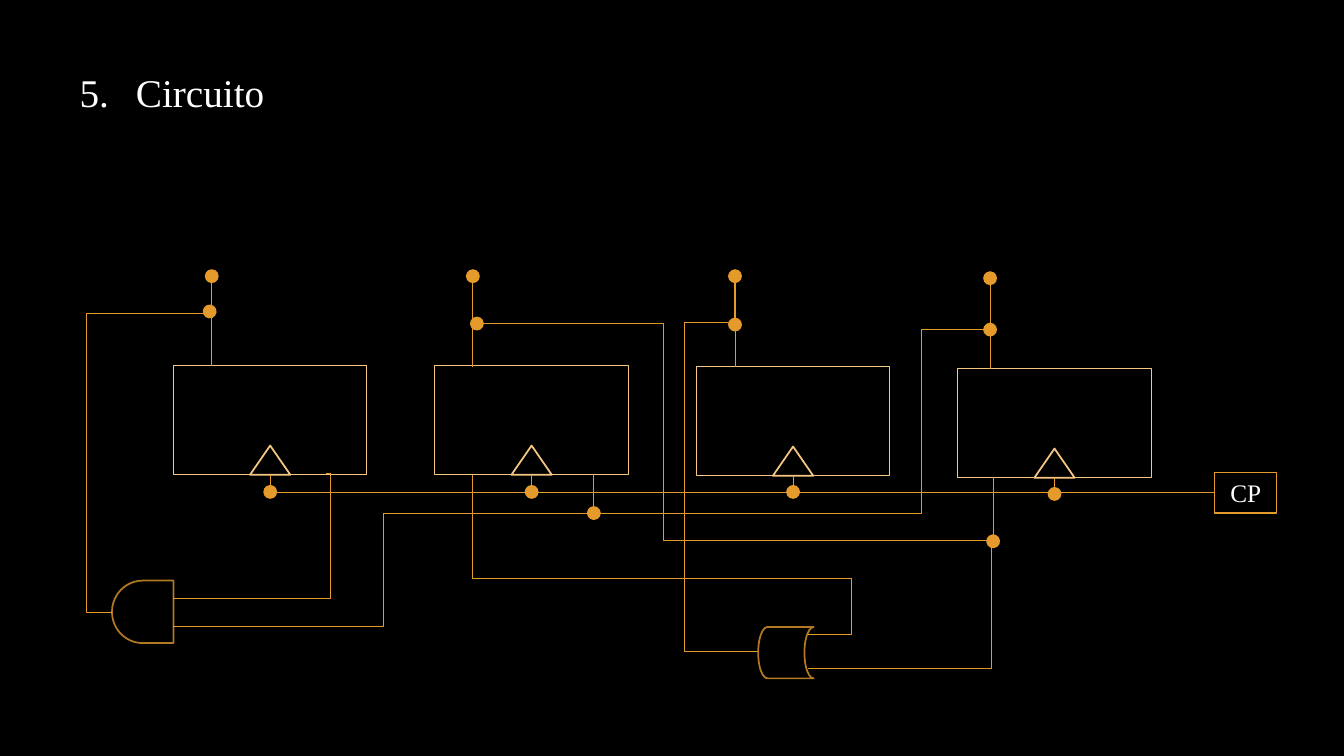
from lxml import etree
from pptx import Presentation
from pptx.dml.color import RGBColor
from pptx.enum.shapes import MSO_CONNECTOR, MSO_SHAPE
from pptx.enum.text import MSO_ANCHOR, PP_ALIGN
from pptx.oxml.ns import qn
from pptx.util import Inches, Pt

RECTANGLE = MSO_SHAPE.RECTANGLE
TRIANGLE = MSO_SHAPE.ISOSCELES_TRIANGLE
AND_GATE = MSO_SHAPE.FLOWCHART_DELAY
OR_GATE = MSO_SHAPE.FLOWCHART_STORED_DATA
STRAIGHT, ELBOW = MSO_CONNECTOR.STRAIGHT, MSO_CONNECTOR.ELBOW

BLACK, WHITE = "000000", "FFFFFF"
FLIP_FLOP_COLOR, WIRE_COLOR, GATE_COLOR = "F6C782", "E59B2C", "B27822"
FONT = "Times New Roman"

TITLE, TITLE_NUMBER = "Circuito", 5
CLOCK_LABEL = "CP"

# Flip-flops: top edge and height of the clock junction
FLIP_FLOPS = [(3.63, 4.88), (3.63, 4.88), (3.64, 4.88), (3.66, 4.9)]
FLIP_FLOP_LEFT, FLIP_FLOP_PITCH = 1.72, 2.593
FLIP_FLOP_W, FLIP_FLOP_H = 1.92, 1.08
CLOCK_W, CLOCK_H = 0.4, 0.29

# Wires: corner points, dot at the start, dot at the end
WIRES = [
    ([(5.89, 4.7), (5.89, 5.09)], False, False),
    ([(3.23, 4.7), (3.28, 4.7), (3.28, 5.94), (1.72, 5.94)], False, False),
    ([(5.89, 5.09), (3.8, 5.09), (3.8, 6.22), (1.72, 6.22)], False, False),
    ([(2.1, 3.63), (2.1, 2.74)], False, True),
    ([(1.11, 6.08), (0.86, 6.08), (0.86, 3.11), (2.08, 3.11), (2.08, 3.09)], False, True),
    ([(9.85, 4.73), (9.85, 5.33)], False, False),
    ([(4.73, 3.21), (6.58, 3.21), (6.58, 5.36), (9.85, 5.36)], True, False),
    ([(4.69, 3.64), (4.69, 2.74)], False, True),
    ([(4.69, 4.71), (4.69, 5.74)], False, False),
    ([(5.89, 5.09), (9.14, 5.09), (9.14, 3.27), (9.82, 3.27)], True, True),
    ([(9.82, 3.66), (9.82, 2.76)], False, True),
    ([(9.85, 5.37), (9.83, 5.37), (9.83, 6.63), (8.01, 6.63)], True, False),
    ([(4.69, 5.74), (8.44, 5.74), (8.44, 6.29), (8.01, 6.29)], False, False),
    ([(7.52, 6.46), (6.79, 6.46), (6.79, 3.2), (7.29, 3.2), (7.29, 3.64)], False, False),
    ([(7.29, 3.22), (7.29, 2.74)], True, True),
    ([(2.7, 4.89), (12.05, 4.89)], False, False),
]


def rgb(color):
    return RGBColor.from_string(color)


def add_outline(shapes, kind, left, top, width, height, color, weight):
    shape = shapes.add_shape(kind, Inches(left), Inches(top), Inches(width), Inches(height))
    shape.shadow.inherit = False
    shape.fill.background()
    shape.line.color.rgb = rgb(color)
    shape.line.width = Pt(weight)
    return shape


def add_run(paragraph, text, size):
    run = paragraph.add_run()
    run.text = text
    run.font.size = Pt(size)
    run.font.name = FONT
    run.font.color.rgb = rgb(WHITE)


def bend(connector, points):
    """Place the corners of an elbow connector and choose its turning direction."""
    (x0, y0), (x1, y1) = points[0], points[-1]
    ratios = [(points[1][0] - x0) / (x1 - x0)]
    if len(points) == 5:
        ratios.append((points[2][1] - y0) / (y1 - y0))
    properties = connector._element.spPr
    geometry = properties.find(qn("a:prstGeom"))
    geometry.set("prst", f"bentConnector{len(points) - 1}")
    guides = geometry.find(qn("a:avLst"))
    for number, ratio in enumerate(ratios, 1):
        etree.SubElement(guides, qn("a:gd"), name=f"adj{number}",
                         fmla=f"val {round(ratio * 100000)}")
    if any(x < x0 for x, _ in points):
        # A half turn with both flips swapped keeps the same route
        frame = properties.find(qn("a:xfrm"))
        frame.set("rot", "10800000")
        frame.set("flipH", str(int(x1 >= x0)))
        frame.set("flipV", str(int(y1 >= y0)))


def add_wire(shapes, points, start_dot=False, end_dot=False):
    kind = STRAIGHT if len(points) == 2 else ELBOW
    ends = [Inches(value) for point in (points[0], points[-1]) for value in point]
    wire = shapes.add_connector(kind, *ends)
    wire.line.color.rgb = rgb(WIRE_COLOR)
    wire.line.width = Pt(0.75)
    if kind == ELBOW:
        bend(wire, points)
    properties = wire._element.spPr
    line = properties.find(qn("a:ln"))
    for tag, dotted in (("a:headEnd", start_dot), ("a:tailEnd", end_dot)):
        if dotted:
            etree.SubElement(line, qn(tag), type="oval", w="lg", len="lg")
    etree.SubElement(properties, qn("a:effectLst"))


def add_title(shapes):
    title = shapes.add_textbox(Inches(0.69), Inches(0.63), Inches(4.58), Inches(0.57))
    title.text_frame.word_wrap = True
    paragraph = title.text_frame.paragraphs[0]
    indents = paragraph._p.get_or_add_pPr()
    indents.set("marL", str(Inches(0.56)))
    indents.set("indent", str(Inches(-0.56)))
    etree.SubElement(indents, qn("a:buFont"), typeface="+mj-lt")
    etree.SubElement(indents, qn("a:buAutoNum"), type="arabicPeriod", startAt=str(TITLE_NUMBER))
    add_run(paragraph, TITLE, 28)


def add_flip_flop(shapes, left, top):
    flip_flop = shapes.add_group_shape().shapes
    add_outline(flip_flop, RECTANGLE, left, top, FLIP_FLOP_W, FLIP_FLOP_H, FLIP_FLOP_COLOR, 0.75)
    add_outline(flip_flop, TRIANGLE, left + (FLIP_FLOP_W - CLOCK_W) / 2,
                top + FLIP_FLOP_H - CLOCK_H, CLOCK_W, CLOCK_H, FLIP_FLOP_COLOR, 1.25)


def add_clock_source(shapes):
    source = add_outline(shapes, RECTANGLE, 12.05, 4.69, 0.61, 0.4, WIRE_COLOR, 0.75)
    source.text_frame.word_wrap = False
    source.text_frame.vertical_anchor = MSO_ANCHOR.MIDDLE
    paragraph = source.text_frame.paragraphs[0]
    paragraph.alignment = PP_ALIGN.CENTER
    add_run(paragraph, CLOCK_LABEL, 18)


def main():
    deck = Presentation()
    deck.slide_width, deck.slide_height = Inches(13.33), Inches(7.5)
    slide = deck.slides.add_slide(deck.slide_layouts[6])
    slide.background.fill.solid()
    slide.background.fill.fore_color.rgb = rgb(BLACK)
    shapes = slide.shapes

    add_title(shapes)
    for column, (top, junction) in enumerate(FLIP_FLOPS):
        left = FLIP_FLOP_LEFT + column * FLIP_FLOP_PITCH
        add_flip_flop(shapes, left, top)
        clock_x = left + FLIP_FLOP_W / 2
        add_wire(shapes, [(clock_x, top + FLIP_FLOP_H), (clock_x, junction)], end_dot=True)

    and_gate = add_outline(shapes, AND_GATE, 1.11, 5.76, 0.61, 0.62, GATE_COLOR, 1.25)
    and_gate.rotation = 180
    add_outline(shapes, OR_GATE, 7.52, 6.22, 0.55, 0.51, GATE_COLOR, 1.25)
    for points, start_dot, end_dot in WIRES:
        add_wire(shapes, points, start_dot, end_dot)
    add_clock_source(shapes)

    deck.save("out.pptx")


if __name__ == "__main__":
    main()
